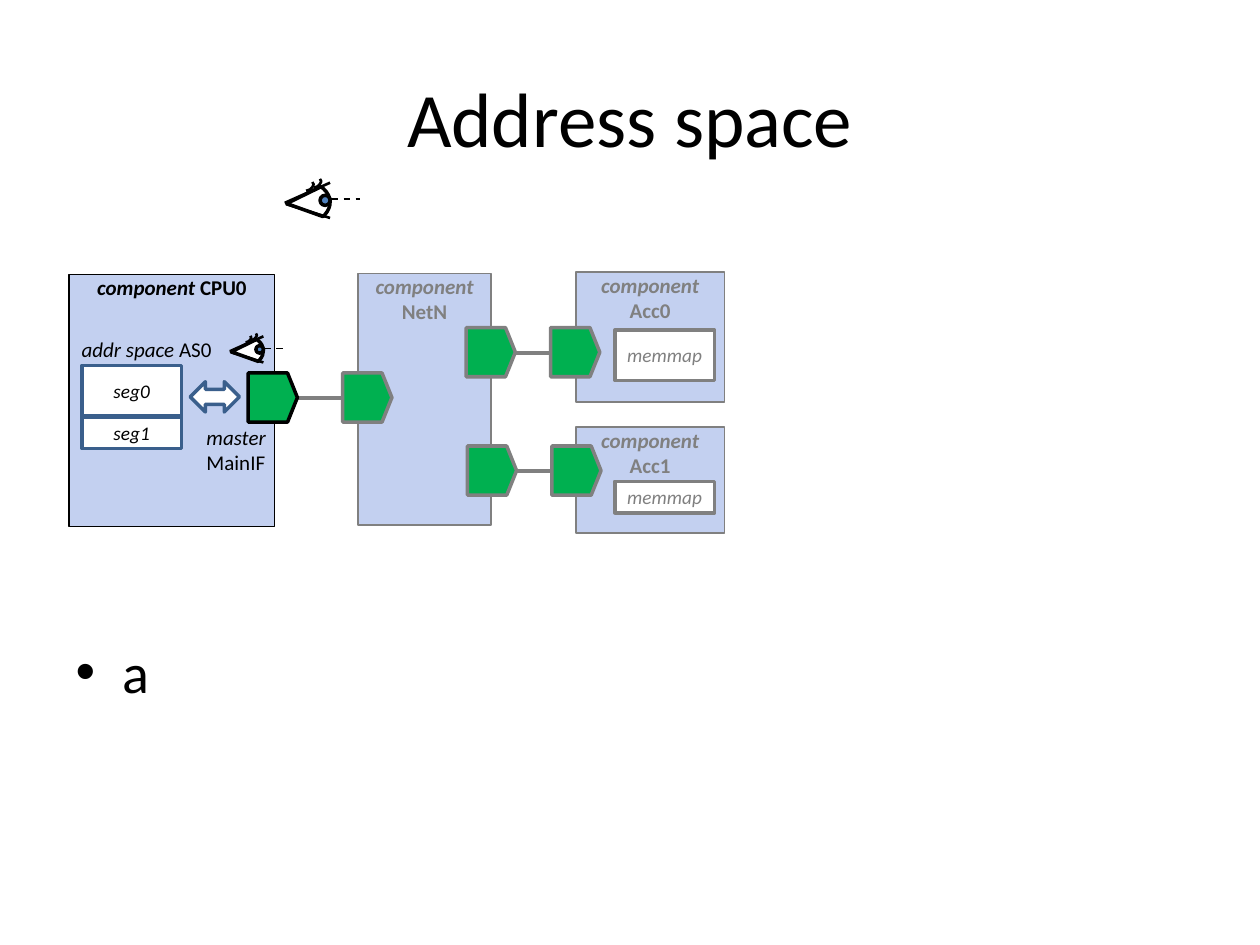
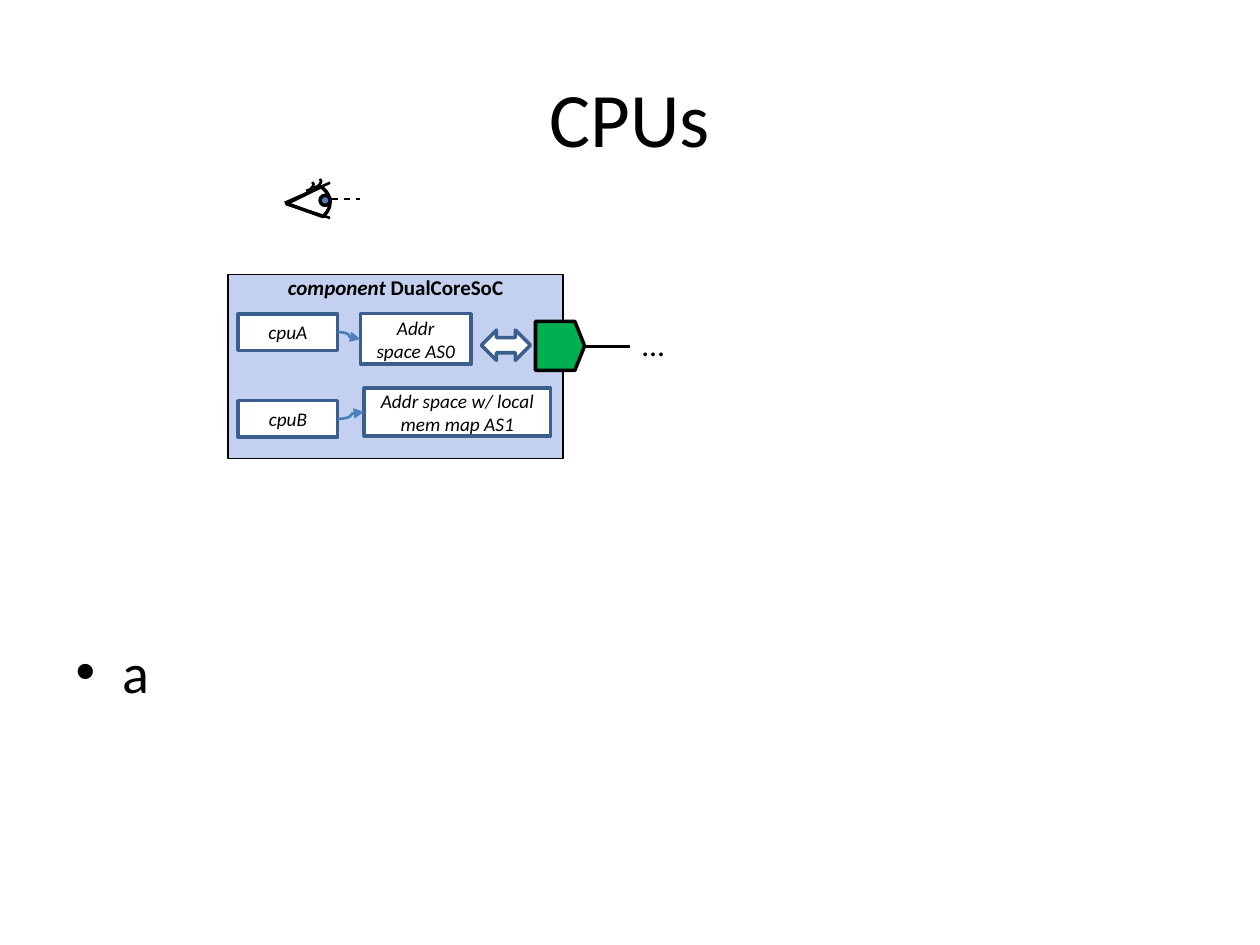
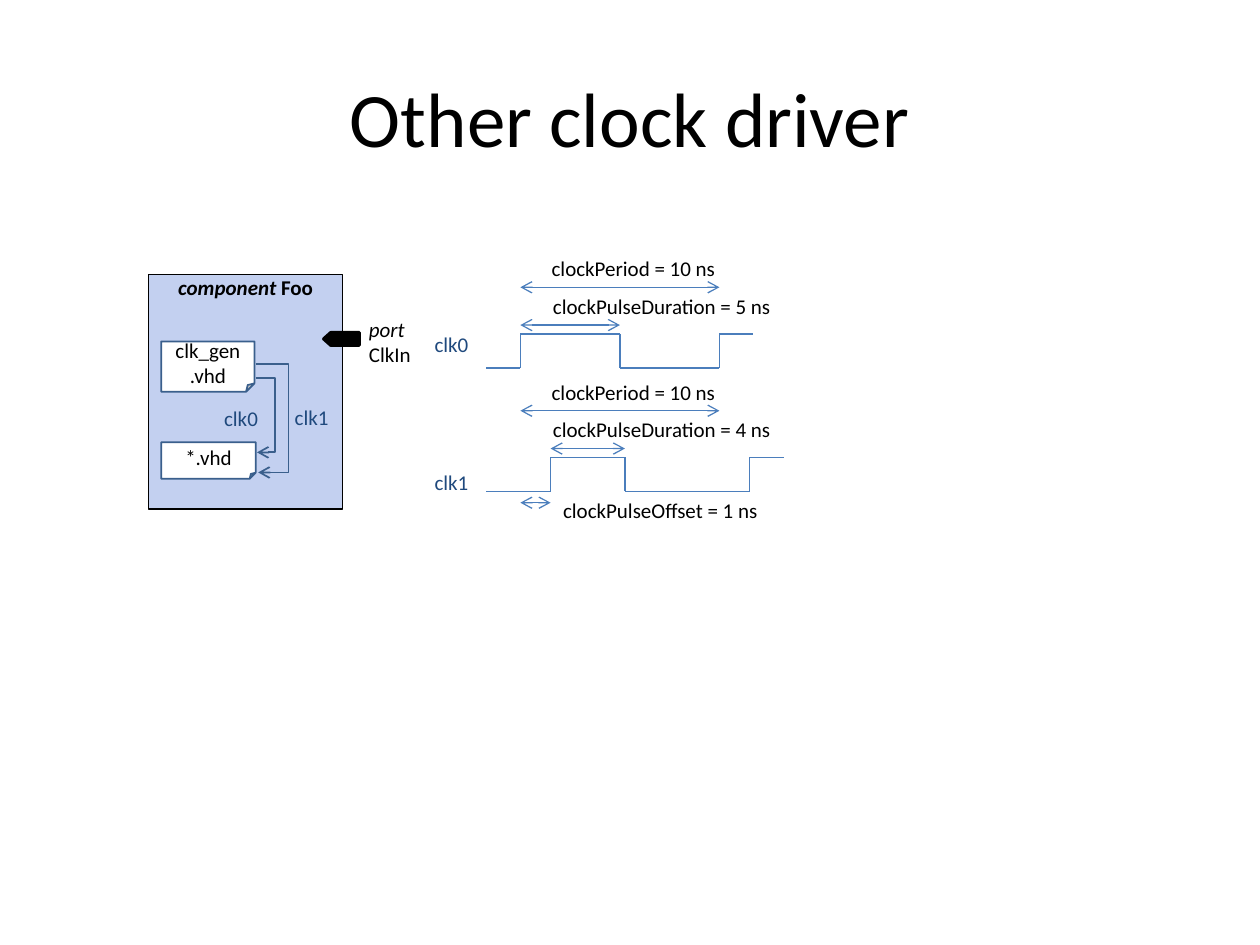
"""Build three slides on address spaces, CPUs and clock drivers."""
from itertools import pairwise

from lxml import etree
from pptx import Presentation
from pptx import util as u
from pptx.dml.color import RGBColor
from pptx.enum import dml, shapes, text
from pptx.oxml.ns import qn

PX = u.Inches(1) // 100
FONT = "Calibri"
BLACK, WHITE, GREY = "000000", "FFFFFF", "808080"
PANEL, GREEN, PUPIL = "C3D0F0", "00B050", "4F81BD"
OUTLINE, SIGNAL, NAVY = "3A5F8C", "4B7EBC", "1F497D"
SHAPE = shapes.MSO_SHAPE
CENTER, LEFT = text.PP_ALIGN.CENTER, text.PP_ALIGN.LEFT
TOP, MIDDLE = text.MSO_ANCHOR.TOP, text.MSO_ANCHOR.MIDDLE


def px(*lengths):
    """Turn px lengths into EMU."""
    return [round(length * PX) for length in lengths]


def rgb(color):
    """Turn a hex string into a colour."""
    return RGBColor.from_string(color)


def write(shape, words, lead="", size=12, color=BLACK, bold=False, italic=False,
          align=CENTER, anchor=MIDDLE, wrap=True, inset=5):
    """Set one paragraph in a shape, with an optional italic lead."""
    frame = shape.text_frame
    frame.word_wrap = wrap
    frame.vertical_anchor = anchor
    frame.margin_top, frame.margin_bottom = px(inset, inset)
    paragraph = frame.paragraphs[0]
    paragraph.alignment = align
    for part, slanted in ((lead, True), (words, italic)):
        if part:
            run = paragraph.add_run()
            run.text = part
            font = run.font
            font.name, font.size = FONT, u.Pt(size)
            font.bold, font.italic = bold, slanted
            font.color.rgb = rgb(color)


def outline(item, color, width, head=None, tail=None):
    """Format the line of a shape or connector, with arrowheads if named."""
    item.line.color.rgb = rgb(color)
    item.line.width = u.Pt(width)
    for tag, kind in (("a:headEnd", head), ("a:tailEnd", tail)):
        if kind:
            etree.SubElement(item.line._get_or_add_ln(), qn(tag), type=kind)


def label(canvas, box, words, **style):
    """Add a text box."""
    write(canvas.add_textbox(*px(*box)), words,
          **{"align": LEFT, "anchor": TOP, **style})


def block(canvas, kind, box, fill, line, width=2, rotation=0):
    """Add a filled preset shape."""
    shape = canvas.add_shape(kind, *px(*box))
    shape.shadow.inherit = False
    shape.rotation = rotation
    shape.fill.solid()
    shape.fill.fore_color.rgb = rgb(fill)
    outline(shape, line, width)
    return shape


def component(canvas, box, name, color=BLACK):
    """Add a component panel with its name at the top."""
    panel = block(canvas, SHAPE.RECTANGLE, box, PANEL, color, 1)
    write(panel, name, lead="component ", color=color, bold=True, anchor=TOP, inset=0)


def process(canvas, box, words, line=OUTLINE, **style):
    """Add a white process box with italic text."""
    shape = block(canvas, SHAPE.FLOWCHART_PROCESS, box, WHITE, line)
    write(shape, words, size=11, italic=True, **style)
    return shape


def source_file(canvas, box, words):
    """Add a file with a folded corner."""
    write(block(canvas, SHAPE.FOLDED_CORNER, box, WHITE, OUTLINE, 1), words)


def port(canvas, left, top, line=GREY):
    """Add a green bus port that points right."""
    block(canvas, SHAPE.FLOWCHART_OFFPAGE_CONNECTOR, (left, top, 39, 39), GREEN, line,
          rotation=270)


def bus_arrow(canvas, left, top):
    """Add the double arrow between an address space and a port."""
    block(canvas, SHAPE.LEFT_RIGHT_ARROW, (left, top, 39, 24), WHITE, OUTLINE)


def connector(canvas, start, end, color, width, head=None, tail=None,
              kind=shapes.MSO_CONNECTOR.STRAIGHT):
    """Add a connector without a shadow."""
    line = canvas.add_connector(kind, *px(*start, *end))
    outline(line, color, width, head, tail)
    etree.SubElement(line._element.spPr, qn("a:effectLst"))
    return line


def curve(canvas, source, target):
    """Join the right side of one box to the left side of another."""
    line = connector(canvas, (0, 0), (1, 1), SIGNAL, 1.5, tail="triangle",
                     kind=shapes.MSO_CONNECTOR.CURVE)
    line.begin_connect(source, 3)
    line.end_connect(target, 1)


def polyline(canvas, points, color, width, tail=None):
    """Add an open outline through the points."""
    corners = [px(*point) for point in points]
    builder = canvas.build_freeform(*corners[0])
    builder.add_line_segments(corners[1:], close=False)
    shape = builder.convert_to_shape()
    shape.shadow.inherit = False
    shape.fill.background()
    outline(shape, color, width, tail=tail)


def eye(slide, left, top, scale=1):
    """Add an eye that looks right along a dashed line."""
    canvas = slide.shapes.add_group_shape().shapes

    def at(x, y):
        return left + x * scale, top + y * scale

    def box(x, y, width, height):
        return *at(x, y), width * scale, height * scale

    sight = connector(canvas, at(70, 17), at(93, 17), BLACK, 1)
    sight.line.dash_style = dml.MSO_LINE.DASH
    ball = block(canvas, SHAPE.PIE, box(0, 0, 69, 41), WHITE, BLACK, rotation=177.3)
    ball.adjustments[0], ball.adjustments[1] = 93.99, 121.47
    block(canvas, SHAPE.OVAL, box(61, 14, 8, 8), PUPIL, BLACK)
    lash = ((56, 8), (59, 7), (61, 5), (62, 3), (61, 1))
    for dx, dy in ((0, 0), (-6, 2.5)):
        polyline(canvas, [at(x + dx, y + dy) for x, y in lash], BLACK, 1.5)
    for start, end in (((33, 20), (69, 4)), ((34, 21), (69, 32))):
        connector(canvas, at(*start), at(*end), BLACK, 1.5)


def waveform(canvas, high, rise, fall, duration):
    """Add one clock signal with its period and pulse duration."""
    low, origin, period = high + 27, 413, 158
    again = rise + period
    corners = ((386, low), (rise, low), (rise, high), (fall, high),
               (fall, low), (again, low), (again, high), (again + 27, high))
    for start, end in pairwise(corners):
        connector(canvas, start, end, SIGNAL, 0.75)
    measure(canvas, origin, origin + period, high - 37)
    measure(canvas, rise, fall, high - 7)
    label(canvas, (428, high - 67, 166, 30), "clockPeriod = 10 ns")
    label(canvas, (429, high - 37, 209, 30), f"clockPulseDuration = {duration} ns")


def measure(canvas, left, right, top):
    """Add a level arrow with two heads."""
    connector(canvas, (left, top), (right, top), SIGNAL, 0.75, "arrow", "arrow")


def titled_slide(presentation, title, body=None):
    """Add a slide with a title and, if given, one bullet."""
    slide = presentation.slides.add_slide(presentation.slide_layouts[1 if body else 5])
    contents = [(slide.shapes.title, (50, 30, 900, 125), title,
                 {"size": 44})]
    if body:
        contents.append((slide.placeholders[1], (50, 501, 900, 169), body,
                         {"size": 32, "align": LEFT, "anchor": TOP}))
    for holder, box, words, style in contents:
        holder.left, holder.top, holder.width, holder.height = px(*box)
        write(holder, words, **style)
    return slide


def address_space(presentation):
    """Build the address space slide."""
    slide = titled_slide(presentation, "Address space", "a")
    canvas = slide.shapes
    component(canvas, (457, 339, 118, 84), "Acc1", GREY)
    component(canvas, (457, 216, 118, 103), "Acc0", GREY)
    component(canvas, (55, 218, 163, 200), "CPU0")
    component(canvas, (284, 217, 106, 200), "NetN", GREY)
    for left, top, length in ((236, 316, 36), (409, 280, 28), (410, 374, 28)):
        connector(canvas, (left, top), (left + length, top), GREY, 2.25)
        port(canvas, left - 39, top - 20, BLACK if left == 236 else GREY)
        port(canvas, left + length, top - 20)
    label(canvas, (154, 332, 79, 50), "MainIF", lead="master ")
    label(canvas, (55, 262, 124, 30), " AS0", lead="addr space", wrap=False)
    bus_arrow(canvas, 151, 303)
    process(canvas, (65, 290, 79, 40), "seg0")
    process(canvas, (65, 331, 79, 25), "seg1")
    for top, height in ((262, 40), (382, 25)):
        process(canvas, (488, top, 79, height), "memmap", GREY, color=GREY, wrap=False)
    eye(slide, 193, 141)
    eye(slide, 158, 264, 0.74)


def cpus(presentation):
    """Build the dual core slide."""
    slide = titled_slide(presentation, "CPUs", "a")
    canvas = slide.shapes
    component(canvas, (181, 218, 266, 146), "DualCoreSoC")
    port(canvas, 425, 255, BLACK)
    connector(canvas, (465, 275), (500, 275), BLACK, 2.25)
    label(canvas, (500, 253, 38, 40), "…", size=18, wrap=False)
    bus_arrow(canvas, 382, 262)
    eye(slide, 193, 141)
    rows = (("cpuA", 249, (286, 249, 88, 40), "Addr space AS0"),
            ("cpuB", 318, (289, 308, 148, 38), "Addr space w/ local mem map AS1"))
    for name, top, box, words in rows:
        cpu = process(canvas, (189, top, 79, 29), name)
        curve(canvas, cpu, process(canvas, box, words))


def clock_driver(presentation):
    """Build the clock driver slide."""
    canvas = titled_slide(presentation, "Other clock driver").shapes
    component(canvas, (118, 218, 154, 186), "Foo")
    block(canvas, SHAPE.FLOWCHART_OFFPAGE_CONNECTOR, (266, 255, 10, 28), BLACK, BLACK,
          rotation=90)
    label(canvas, (283, 246, 73, 50), "ClkIn", lead="port ")
    waveform(canvas, 265, 413, 492, 5)
    waveform(canvas, 363, 437, 496, 4)
    measure(canvas, 413, 437, 399)
    label(canvas, (437, 390, 209, 30), "clockPulseOffset = 1 ns")
    source_file(canvas, (128, 271, 74, 40), "clk_gen.vhd")
    source_file(canvas, (128, 351, 75, 29), "*.vhd")
    for top, right, bottom, end in ((289, 229, 375, 205), (300, 218, 359, 204)):
        wire = ((203, top), (right, top), (right, bottom), (end, bottom))
        polyline(canvas, wire, OUTLINE, 1, tail="arrow")
    for left, top, name in ((224, 316, "clk1"), (168, 317, "clk0"),
                            (335, 258, "clk0"), (335, 368, "clk1")):
        label(canvas, (left, top, 48, 30), name, color=NAVY, wrap=False)


def main():
    """Build and save the presentation."""
    presentation = Presentation()
    presentation.slide_width, presentation.slide_height = px(1000, 750)
    address_space(presentation)
    cpus(presentation)
    clock_driver(presentation)
    presentation.save("out.pptx")


if __name__ == "__main__":
    main()
